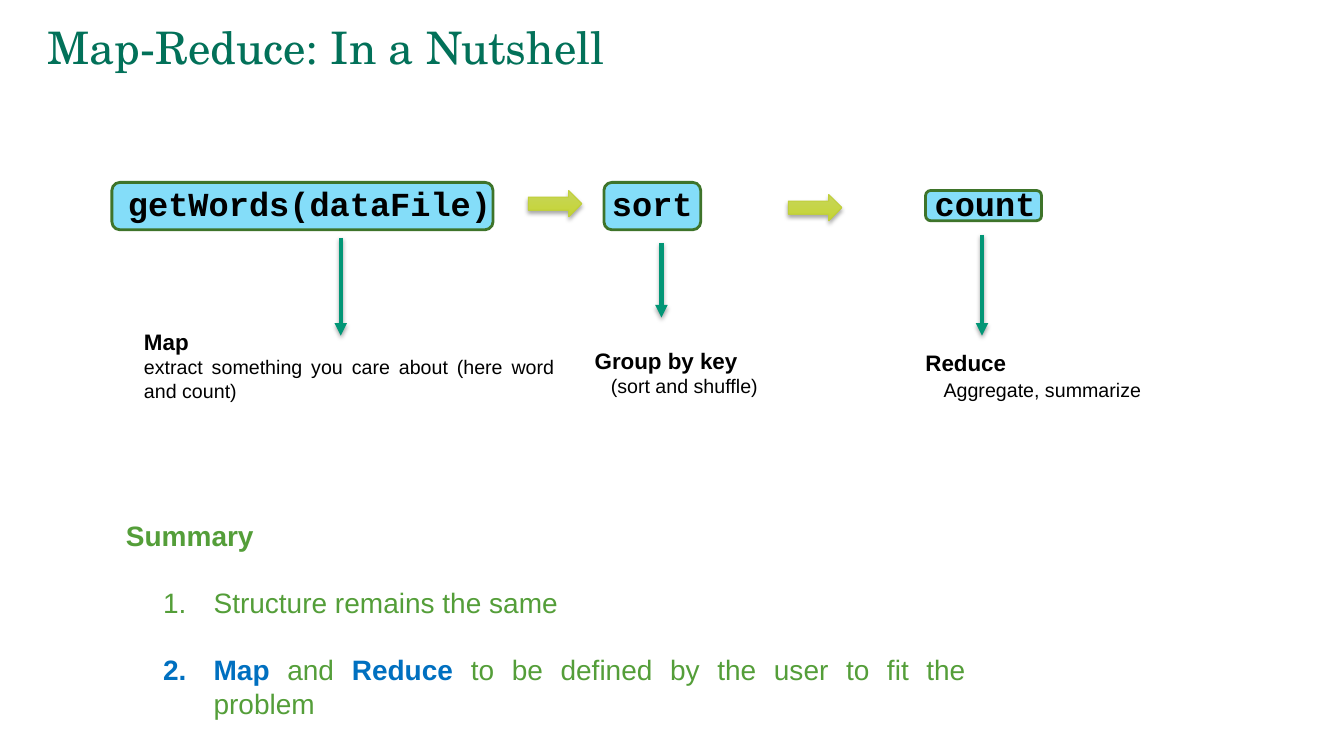
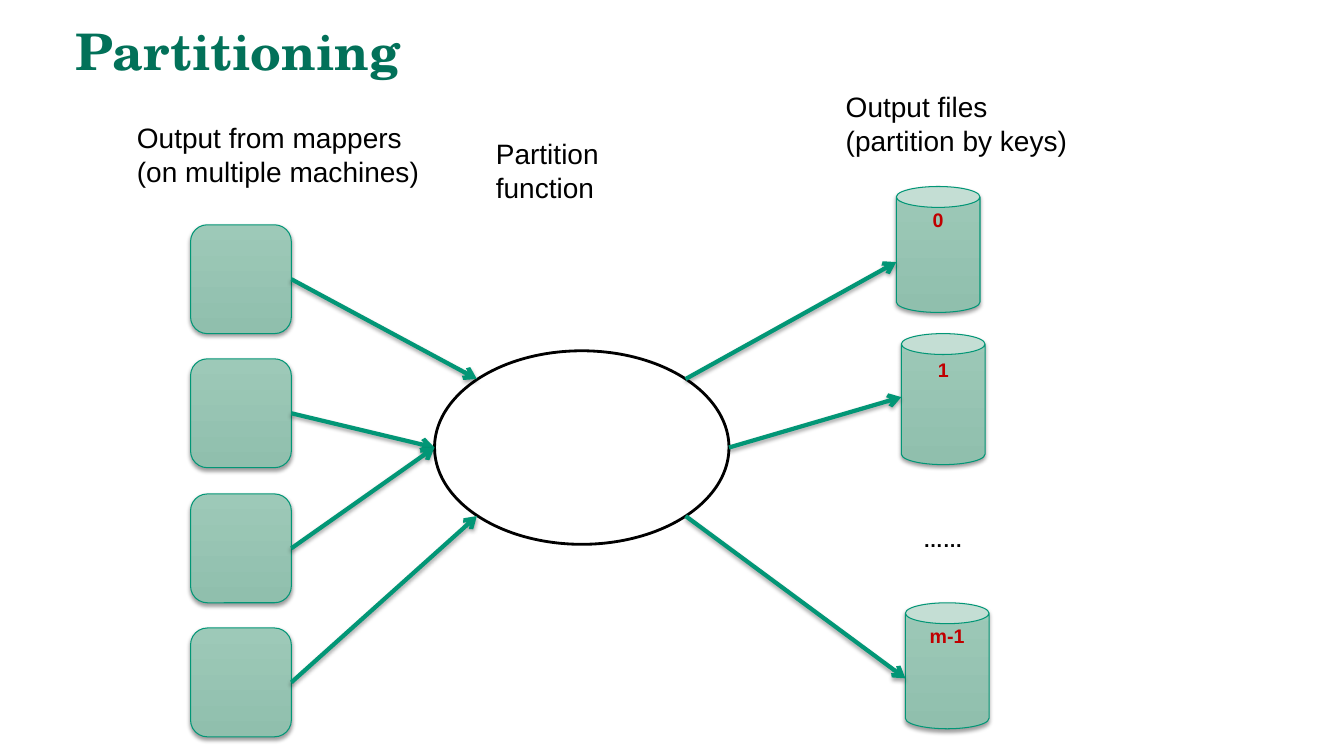
from lxml import etree
from pptx import Presentation
from pptx.dml.color import RGBColor
from pptx.enum import shapes, text
from pptx.oxml import ns
from pptx import util as u

PX = 9144  # EMU per px, 100 px to the inch
SANS, MONO, SERIF = "Arial", "Courier New", "TeX Gyre Schola"
TITLE, BLACK, TEAL = "027159", "000000", "029676"
GREEN, BLUE, RED = "549E39", "0070C0", "C00000"
SAGE = ("9DC9B8", "90BFAD")
LIME = ("C7D55B", "C5D533")
KIND = shapes.MSO_SHAPE
JUSTIFY, CENTER = text.PP_ALIGN.JUSTIFY, text.PP_ALIGN.CENTER
color = RGBColor.from_string


def paint(shape, line, width, fill=None, shadow=0):
    """Set the line, a plain or two-stop fill, and a shadow of given opacity."""
    if isinstance(fill, tuple):
        shape.fill.gradient()
        shape.fill.gradient_angle = 270
        for stop, tone in zip(shape.fill.gradient_stops, fill):
            stop.color.rgb = color(tone)
    elif fill:
        shape.fill.solid()
        shape.fill.fore_color.rgb = color(fill)
    shape.line.color.rgb = color(line)
    shape.line.width = u.Pt(width)
    effects = etree.SubElement(shape.element.spPr, ns.qn("a:effectLst"))
    if shadow:
        outer = etree.SubElement(effects, ns.qn("a:outerShdw"), blurRad=str(u.Pt(3.1)),
                                 dist=str(u.Pt(1.8)), dir="5400000", rotWithShape="0")
        tone = etree.SubElement(outer, ns.qn("a:srgbClr"), val=BLACK)
        etree.SubElement(tone, ns.qn("a:alpha"), val=str(shadow * 1000))


def write(shape, lines, font=SANS, align=text.PP_ALIGN.LEFT):
    """Fill a shape with paragraphs of (text, size, bold, colour) runs."""
    frame = shape.text_frame
    frame.word_wrap = True
    for number, runs in enumerate(lines):
        paragraph = frame.add_paragraph() if number else frame.paragraphs[0]
        paragraph.alignment = align
        for words, size, bold, tone in runs:
            run = paragraph.add_run()
            run.text = words
            run.font.name = font
            run.font.size = u.Pt(size)
            run.font.bold = bold
            run.font.color.rgb = color(tone)
    return frame


presentation = Presentation()
presentation.slide_width = 1333 * PX
presentation.slide_height = 750 * PX

# Slides and titles
slides = []
for words, left, top, size, bold in [
    ("Map-Reduce: In a Nutshell", 37, 20, 32, False),
    ("Partitioning", 65, 24, 36, True),
]:
    slide = presentation.slides.add_slide(presentation.slide_layouts[6])
    title = slide.shapes.add_textbox(left * PX, top * PX, 1080 * PX, 59 * PX)
    frame = write(title, [[(words, size, bold, TITLE)]], SERIF)
    frame.vertical_anchor = text.MSO_ANCHOR.MIDDLE
    frame.paragraphs[0].line_spacing = 0.9
    slides.append(slide)
nutshell, partitioning = slides

# Nutshell: code boxes, each on one unwrapped line
for words, left, top, width, height, inset in [
    ("getWords(dataFile)", 111, 181, 378, 47, 14),
    ("sort", 599, 181, 96, 47, 0),
    ("count", 918, 189, 115, 30, 3),
]:
    box = nutshell.shapes.add_shape(
        KIND.ROUNDED_RECTANGLE, left * PX, top * PX, width * PX, height * PX)
    paint(box, "3E742A", 2, "84DDF9")
    frame = write(box, [[(words, 24, True, BLACK)]], MONO, CENTER)
    frame.word_wrap = False
    frame.margin_left = inset * PX
    frame.margin_right = frame.margin_top = 0
    frame.margin_bottom = 6 * PX

# Nutshell: block arrows between the boxes
for left, top in [(524, 189), (782, 193)]:
    arrow = nutshell.shapes.add_shape(
        KIND.RIGHT_ARROW, left * PX, top * PX, 53 * PX, 26 * PX)
    paint(arrow, "C0CF3A", 0.75, LIME, 35)

# Nutshell: what each step does
for name, detail, left, top, width, indent, gap in [
    ("Map", "extract something you care about (here word and count)", 133, 321, 427, 0, 0),
    ("Group by key", "(sort and shuffle)", 580, 339, 267, 16, 0),
    ("Reduce", "Aggregate, summarize", 908, 341, 338, 18, 2),
]:
    label = nutshell.shapes.add_textbox(left * PX, top * PX, width * PX, 80 * PX)
    frame = write(label, [[(name, 16, True, BLACK)], [(detail, 14, False, BLACK)]],
                  align=JUSTIFY)
    explanation = frame.paragraphs[1]
    explanation.space_before = u.Pt(gap)
    explanation._p.get_or_add_pPr().set("marL", str(indent * PX))

# Nutshell: summary with numbered points
summary = nutshell.shapes.add_textbox(115 * PX, 509 * PX, 853 * PX, 177 * PX)
frame = write(summary, [
    [("Summary", 20, True, GREEN)],
    [("Structure remains the same", 20, False, GREEN)],
    [("Map ", 20, True, BLUE), ("and ", 20, False, GREEN), ("Reduce ", 20, True, BLUE),
     ("to be defined by the user to fit the problem", 20, False, GREEN)],
], align=JUSTIFY)
for point, tone in zip(frame.paragraphs[1:], (GREEN, BLUE)):
    point.space_before = u.Pt(24)
    properties = point._p.get_or_add_pPr()
    properties.set("marL", str(87 * PX))
    properties.set("indent", str(-50 * PX))
    bullet = etree.SubElement(properties, ns.qn("a:buClr"))
    etree.SubElement(bullet, ns.qn("a:srgbClr"), val=tone)
    etree.SubElement(properties, ns.qn("a:buFont"), typeface=SANS)
    etree.SubElement(properties, ns.qn("a:buAutoNum"), type="arabicPeriod")

# Partitioning: mappers
for row in range(4):
    mapper = partitioning.shapes.add_shape(
        KIND.ROUNDED_RECTANGLE, 189 * PX, round(223 + row * 400 / 3) * PX, 100 * PX, 108 * PX)
    paint(mapper, TEAL, 0.75, SAGE, 38)

# Partitioning: partition function
function = partitioning.shapes.add_shape(KIND.OVAL, 431 * PX, 348 * PX, 292 * PX, 192 * PX)
paint(function, BLACK, 2, "FFFFFF")

# Partitioning: output files
for name, left, top, height, inset in [
    ("0", 889, 185, 125, 1), ("1", 894, 331, 130, 3), ("m-1", 898, 598, 125, 0),
]:
    output = partitioning.shapes.add_shape(
        KIND.CAN, left * PX, top * PX, 83 * PX, height * PX)
    paint(output, TEAL, 0.75, SAGE, 38)
    frame = write(output, [[(name, 14, True, RED)]], align=CENTER)
    frame.vertical_anchor = text.MSO_ANCHOR.TOP
    frame.margin_top = inset * PX

# Partitioning: captions
for lines, left, top, width, height, size, bold in [
    (["Output from mappers", "(on multiple machines)"], 126, 115, 320, 76, 20, False),
    (["Partition function"], 482, 131, 150, 76, 20, False),
    (["Output files", "(partition by keys)"], 829, 84, 260, 76, 20, False),
    (["……"], 906, 519, 80, 33, 14, True),
]:
    caption = partitioning.shapes.add_textbox(left * PX, top * PX, width * PX, height * PX)
    write(caption, [[(words, size, bold, BLACK)] for words in lines])

# Thin arrows of both slides
for slide, head, routes in [
    (nutshell, "triangle", [
        (338, 236, 338, 333), (656, 241, 656, 315), (974, 233, 974, 333)]),
    (partitioning, "arrow", [
        (289, 277, 473, 376), (289, 410, 431, 444), (289, 544, 431, 444),
        (289, 677, 473, 512), (680, 376, 889, 260), (723, 444, 894, 394),
        (680, 512, 898, 673)]),
]:
    for route in routes:
        connector = slide.shapes.add_connector(
            shapes.MSO_CONNECTOR.STRAIGHT, *(length * PX for length in route))
        paint(connector, TEAL, 3, shadow=35)
        etree.SubElement(connector.element.spPr.get_or_add_ln(), ns.qn("a:tailEnd"), type=head)

presentation.save("out.pptx")
